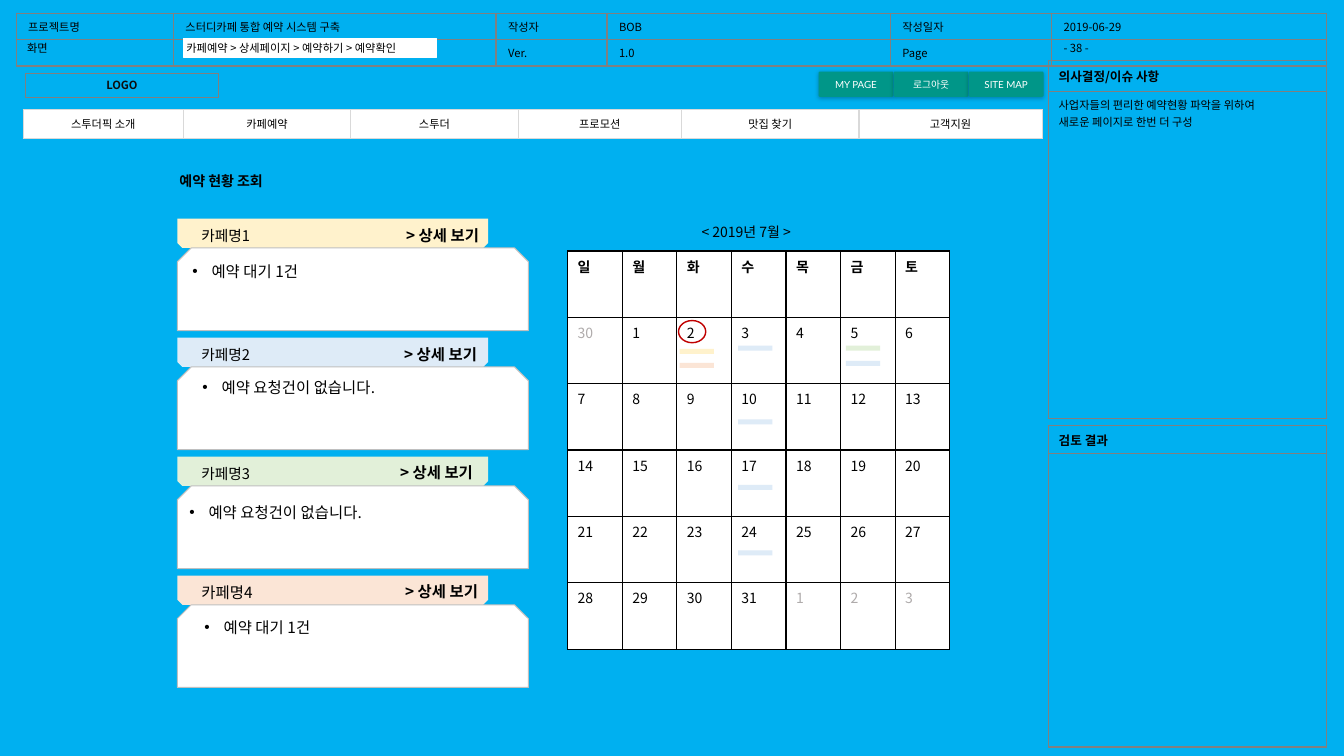
import lxml.etree
import pptx
import pptx.dml.color
import pptx.enum.shapes
import pptx.enum.text
import pptx.oxml.ns
import pptx.util

Inches = pptx.util.Inches
Pt = pptx.util.Pt
RGBColor = pptx.dml.color.RGBColor
MSO_SHAPE = pptx.enum.shapes.MSO_SHAPE
ALIGN = pptx.enum.text.PP_ALIGN
ANCHOR = pptx.enum.text.MSO_ANCHOR
qn = pptx.oxml.ns.qn

BLACK = RGBColor(0x00, 0x00, 0x00)
INK = RGBColor(0x0D, 0x0D, 0x0D)
WHITE = RGBColor(0xFF, 0xFF, 0xFF)
SKY = RGBColor(0x00, 0xB0, 0xF0)
GRAY = RGBColor(0x80, 0x80, 0x80)
SILVER = RGBColor(0xBF, 0xBF, 0xBF)
LIGHT = RGBColor(0xD9, 0xD9, 0xD9)
MUTED = RGBColor(0xAF, 0xAB, 0xAB)
TEAL = RGBColor(0x00, 0x96, 0x88)
RED = RGBColor(0xC0, 0x00, 0x00)
CREAM = RGBColor(0xFF, 0xF2, 0xCC)
BLUE = RGBColor(0xDE, 0xEB, 0xF7)
GREEN = RGBColor(0xE2, 0xF0, 0xD9)
PEACH = RGBColor(0xFB, 0xE5, 0xD6)

KOREAN = "Noto Sans CJK KR"


def add_xml(parent, tag, **attrs):
    return lxml.etree.SubElement(parent, qn(tag), attrs)


def add_bullet(p):
    pPr = p._p.get_or_add_pPr()
    pPr.set("marL", str(Inches(0.19)))
    pPr.set("indent", str(-Inches(0.19)))
    add_xml(pPr, "a:buFont", typeface="Arial")
    add_xml(pPr, "a:buChar", char="•")


def write(tf, text, size, color=BLACK, bold=False, align=ALIGN.LEFT,
          anchor=ANCHOR.TOP, font=KOREAN, bullet=False):
    tf.word_wrap = True
    tf.vertical_anchor = anchor
    tf.text = text
    for p in tf.paragraphs:
        p.alignment = align
        if bullet:
            add_bullet(p)
        p.font.size = Pt(size)
        p.font.name = font
        p.font.bold = bold
        p.font.color.rgb = color
        add_xml(p._p.pPr.find(qn("a:defRPr")), "a:ea", typeface=KOREAN)


def add_label(slide, x, y, w, h, text, size, **style):
    sp = slide.shapes.add_textbox(Inches(x), Inches(y), Inches(w), Inches(h))
    write(sp.text_frame, text, size, **style)


def add_box(slide, kind, x, y, w, h, fill=None, line=None, width=0.75):
    sp = slide.shapes.add_shape(kind, Inches(x), Inches(y), Inches(w), Inches(h))
    sp.shadow.inherit = False
    if fill is None:
        sp.fill.background()
    else:
        sp.fill.solid()
        sp.fill.fore_color.rgb = fill
    if line is None:
        sp.line.fill.background()
    else:
        sp.line.color.rgb = line
        sp.line.width = Pt(width)
    return sp


def add_button(slide, x, text):
    sp = add_box(slide, MSO_SHAPE.ROUNDED_RECTANGLE, x, 0.71, 0.74, 0.25, TEAL)
    sp.adjustments[0] = 0.05
    effects = sp._element.spPr.find(qn("a:effectLst"))
    shadow = add_xml(effects, "a:outerShdw", blurRad=str(Pt(3)), dist=str(Pt(1)),
                     dir="5400000", algn="t", rotWithShape="0")
    add_xml(add_xml(shadow, "a:srgbClr", val="000000"), "a:alpha", val="25000")
    tf = sp.text_frame
    tf.margin_left = tf.margin_right = Inches(0.08)
    write(tf, text, 7, color=WHITE, align=ALIGN.CENTER, anchor=ANCHOR.MIDDLE, font="Lato")


def format_cell(cell, border, fill, margin):
    cell.margin_left = cell.margin_right = Inches(margin)
    tcPr = cell._tc.get_or_add_tcPr()
    for side in ("a:lnL", "a:lnR", "a:lnT", "a:lnB"):
        ln = add_xml(tcPr, side, w=str(Pt(1)))
        add_xml(add_xml(ln, "a:solidFill"), "a:srgbClr", val=str(border))
    if fill is None:
        cell.fill.background()
    else:
        cell.fill.solid()
        cell.fill.fore_color.rgb = fill


def add_grid(slide, x, y, widths, heights, rows, border, style, fill=None, margin=0.1):
    frame = slide.shapes.add_table(len(heights), len(widths), Inches(x), Inches(y),
                                   Inches(sum(widths)), Inches(sum(heights)))
    table = frame.table
    table.first_row = table.horz_banding = False
    for col, width in zip(table.columns, widths):
        col.width = Inches(width)
    for i, (height, texts) in enumerate(zip(heights, rows)):
        table.rows[i].height = Inches(height)
        for j, text in enumerate(texts):
            cell = table.cell(i, j)
            format_cell(cell, border, fill, margin)
            cell_style = style(i, j)
            if text:
                write(cell.text_frame, text, **cell_style)
                cell.vertical_anchor = cell_style.get("anchor", ANCHOR.TOP)
            else:
                add_xml(cell.text_frame.paragraphs[0]._p, "a:endParaRPr", sz="800")


def add_header(slide):
    rows = [["프로젝트명", "스터디카페 통합 예약 시스템 구축", "작성자", "BOB", "작성일자", "2019-06-29"],
            ["", "", "Ver.", "1.0", "Page", ""]]
    add_grid(slide, 0.16, 0.13, [1.56, 3.2, 1.1, 2.81, 1.6, 2.73], [0.24, 0.24], rows,
             GRAY, lambda i, j: dict(size=8), margin=0.12)
    add_label(slide, 10.45, 0.36, 1.07, 0.24, "- 38 -", 8)
    add_label(slide, 0.17, 0.36, 0.6, 0.24, "화면", 8)
    add_box(slide, MSO_SHAPE.RECTANGLE, 1.82, 0.38, 2.51, 0.19, WHITE, WHITE, 1)
    add_label(slide, 1.75, 0.38, 2.62, 0.2, "카페예약 > 상세페이지 > 예약하기 > 예약확인", 8,
              anchor=ANCHOR.MIDDLE)


def add_panel(slide, y, heights, heading, body):
    def style(i, j):
        return dict(size=8) if i else dict(size=9, bold=True, anchor=ANCHOR.MIDDLE)
    add_grid(slide, 10.4, y, [2.76], heights, [[heading], [body]], GRAY, style)


def add_navigation(slide):
    menu = ["스투더픽 소개", "카페예약", "스투더", "프로모션", "맛집 찾기", "고객지원"]
    style = dict(size=8, align=ALIGN.CENTER, anchor=ANCHOR.MIDDLE)
    add_grid(slide, 0.23, 1.09, [1.59, 1.66, 1.66, 1.62, 1.76, 1.82], [0.28], [menu],
             LIGHT, lambda i, j: style, WHITE, 0.12)
    logo = add_box(slide, MSO_SHAPE.RECTANGLE, 0.25, 0.73, 1.92, 0.24, line=GRAY)
    write(logo.text_frame, "LOGO", 8, color=INK, bold=True, align=ALIGN.CENTER)
    for i, text in enumerate(["MY PAGE", "로그아웃", "SITE MAP"]):
        add_button(slide, 8.12 + 0.745 * i, text)


def add_card(slide, y, name, size, color, detail_right, status, status_x, status_y):
    tab = add_box(slide, MSO_SHAPE.SNIP_2_SAME_RECTANGLE, 1.76, y, 3.08, 0.29, color)
    tab.rotation = 180
    add_box(slide, MSO_SHAPE.SNIP_2_SAME_RECTANGLE, 1.76, y + 0.29, 3.48, 0.82, WHITE, SILVER)
    add_label(slide, 1.9, y + 0.03, 1.28, 0.29, name, size)
    add_label(slide, detail_right - 1.28, y + 0.02, 1.28, 0.29, "> 상세 보기", 11,
              bold=True, align=ALIGN.RIGHT)
    add_label(slide, status_x, status_y, 2.5, 0.29, status, 11, bullet=True)


def add_calendar(slide):
    days = [30, *range(1, 32), 1, 2, 3]
    weeks = [[str(d) for d in days[k:k + 7]] for k in range(0, 35, 7)]

    def style(i, j):
        outside = (i == 1 and j == 0) or (i == 5 and j > 3)
        return dict(size=10, bold=i == 0, color=MUTED if outside else BLACK)

    add_grid(slide, 5.63, 2.49, [3.79 / 7] * 7, [3.95 / 6] * 6,
             [list("일월화수목금토"), *weeks], BLACK, style, WHITE)
    add_label(slide, 6.86, 2.17, 1.57, 0.27, "< 2019년 7월 >", 10)
    bookings = [(6.74, 3.46, CREAM), (6.74, 3.6, PEACH), (8.39, 3.43, GREEN), (8.39, 3.58, BLUE),
                (7.32, 3.43, BLUE), (7.32, 4.16, BLUE), (7.32, 4.81, BLUE), (7.32, 5.46, BLUE)]
    for x, y, color in bookings:
        add_box(slide, MSO_SHAPE.RECTANGLE, x, y, 0.34, 0.05, color)
    add_box(slide, MSO_SHAPE.OVAL, 6.73, 3.18, 0.27, 0.22, line=RED, width=1)


def add_title(slide, text):
    sp = slide.shapes.title
    sp.left, sp.top, sp.width, sp.height = Inches(1.68), Inches(1.66), Inches(1.43), Inches(0.27)
    write(sp.text_frame, text, 10, bold=True)


def main():
    prs = pptx.Presentation()
    prs.slide_width, prs.slide_height = Inches(13.33), Inches(7.5)
    slide = prs.slides.add_slide(prs.slide_layouts[5])
    slide.background.fill.solid()
    slide.background.fill.fore_color.rgb = SKY
    add_title(slide, "예약 현황 조회")
    add_header(slide)
    add_panel(slide, 0.6, [0.31, 3.24], "의사결정/이슈 사항",
              "사업자들의 편리한 예약현황 파악을 위하여\n새로운 페이지로 한번 더 구성")
    add_panel(slide, 4.22, [0.28, 2.91], "검토 결과", "")
    add_navigation(slide)
    waiting, empty = "예약 대기 1건", "예약 요청건이 없습니다."
    cards = [("카페명1", 10.5, CREAM, 4.85, waiting, 1.81, 2.55),
             ("카페명2", 10.5, BLUE, 4.83, empty, 1.91, 3.7),
             ("카페명3", 10.5, GREEN, 4.79, empty, 1.78, 4.94),
             ("카페명4", 11, PEACH, 4.84, waiting, 1.93, 6.08)]
    for i, card in enumerate(cards):
        add_card(slide, 2.17 + 1.18 * i, *card)
    add_calendar(slide)
    prs.save("out.pptx")


if __name__ == "__main__":
    main()
